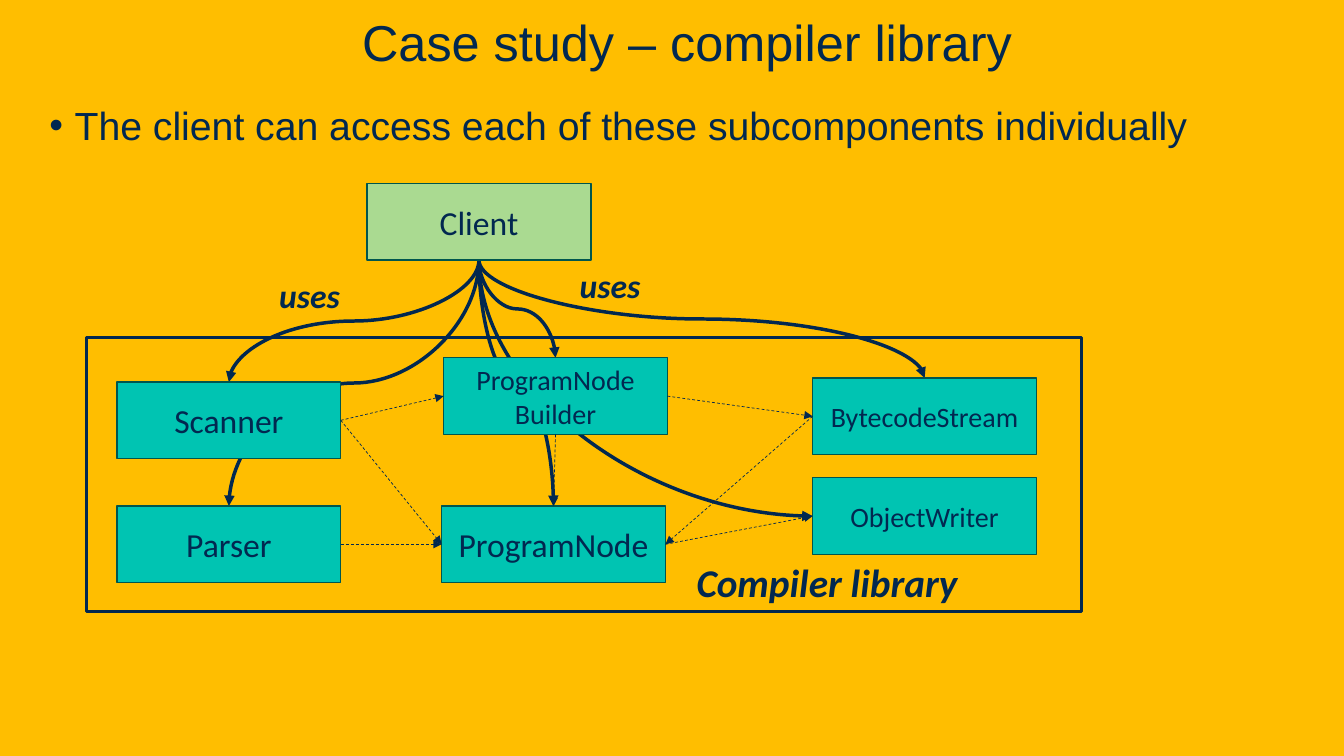
from lxml import etree
from pptx import Presentation
from pptx import util as u
from pptx.dml.color import RGBColor
from pptx.enum import dml, shapes, text
from pptx.oxml import ns

NAVY = RGBColor(0x02, 0x28, 0x50)
TEAL = RGBColor(0x00, 0xC4, 0xB2)
GREEN = RGBColor(0xAA, 0xDA, 0x91)
EDGE = RGBColor(0x00, 0x56, 0x4E)
GOLD = RGBColor(0xFF, 0xBE, 0x00)
WIDE, HIGH = 2.22, 0.76
TOP, LEFT, BASE, RIGHT = range(4)


class Deck:
    def __init__(self):
        self.show = Presentation()
        self.show.slide_width = u.Inches(13.33)
        self.show.slide_height = u.Inches(7.5)
        self.slide = self.show.slides.add_slide(self.show.slide_layouts[1])
        fill = self.slide.background.fill
        fill.solid()
        fill.fore_color.rgb = GOLD

    def place(self, item, *area):
        item.left, item.top, item.width, item.height = map(u.Inches, area)

    def add_words(self, para, words, size, face="Calibri", strong=False):
        run = para.add_run()
        run.text = words
        font = run.font
        font.name, font.size = face, u.Pt(size)
        font.color.rgb = NAVY
        if strong:
            font.bold = font.italic = True

    def title(self, words):
        item = self.slide.shapes.title
        self.place(item, 0, 0, 13.33, 0.76)
        frame = item.text_frame
        frame.auto_size = text.MSO_AUTO_SIZE.NONE
        frame.vertical_anchor = text.MSO_ANCHOR.BOTTOM
        para = frame.paragraphs[0]
        para.alignment = text.PP_ALIGN.CENTER
        para._p.get_or_add_pPr().set("marL", str(u.Inches(0.3)))
        self.add_words(para, words, 36, "Arial")

    def body(self, words):
        item = self.slide.placeholders[1]
        self.place(item, 0.39, 0.86, 12.52, 5.71)
        frame = item.text_frame
        frame.auto_size = text.MSO_AUTO_SIZE.NONE
        para = frame.paragraphs[0]
        para.line_spacing = 1.2
        para.space_before, para.space_after = u.Pt(0), u.Pt(6)
        props = para._p.get_or_add_pPr()
        props.set("marL", str(u.Inches(0.25)))
        props.set("indent", str(u.Inches(-0.25)))
        etree.SubElement(props, ns.qn("a:buChar")).set("char", "•")
        self.add_words(para, words, 28, "Arial")

    def rect(self, area, line, weight, fill=None):
        item = self.slide.shapes.add_shape(
            shapes.MSO_SHAPE.RECTANGLE, *map(u.Inches, area))
        item.shadow.inherit = False
        item.line.color.rgb = line
        item.line.width = u.Pt(weight)
        if fill is None:
            item.fill.background()
        else:
            item.fill.solid()
            item.fill.fore_color.rgb = fill
        return item

    def box(self, words, spot, size, fill=TEAL):
        item = self.rect((*spot, WIDE, HIGH), EDGE, 1, fill)
        frame = item.text_frame
        frame.vertical_anchor = text.MSO_ANCHOR.MIDDLE
        for i, part in enumerate(words.split()):
            para = frame.add_paragraph() if i else frame.paragraphs[0]
            para.alignment = text.PP_ALIGN.CENTER
            self.add_words(para, part, size)
        return item

    def label(self, words, area, size):
        item = self.slide.shapes.add_textbox(*map(u.Inches, area))
        frame = item.text_frame
        frame.word_wrap = False
        frame.auto_size = text.MSO_AUTO_SIZE.SHAPE_TO_FIT_TEXT
        self.add_words(frame.paragraphs[0], words, size, strong=True)

    def arrow(self, kind, ends, weight, dash=None):
        link = self.slide.shapes.add_connector(kind, *map(u.Inches, ends))
        link.line.color.rgb = NAVY
        link.line.width = u.Pt(weight)
        if dash:
            link.line.dash_style = dash
        props = link._element.spPr
        tail = etree.SubElement(props.find(ns.qn("a:ln")), ns.qn("a:tailEnd"))
        tail.set("type", "triangle")
        etree.SubElement(props, ns.qn("a:effectLst"))
        return link

    def curve(self, start, end, bend=False):
        (x, y), (goal, floor) = start, end
        mid, level = (x + goal) / 2, (y + floor) / 2
        half, rise = (floor - y) / 2, abs(goal - x) / 2
        east = goal > x
        if east:
            half = -half
        link = self.arrow(shapes.MSO_CONNECTOR.CURVE,
                          (mid - half, level - rise, mid + half, level + rise), 2.5)
        props = link._element.spPr
        props.find(ns.qn("a:xfrm")).set("rot", str((270 if east else 90) * 60000))
        if bend:
            props.find(ns.qn("a:prstGeom")).set("prst", "curvedConnector2")

    def dash(self, start, out, end, into):
        link = self.arrow(shapes.MSO_CONNECTOR.STRAIGHT, (0, 0, 1, 1), 0.5,
                          dml.MSO_LINE.DASH)
        link.begin_connect(start, out)
        link.end_connect(end, into)


def main():
    deck = Deck()
    deck.title("Case study – compiler library")
    deck.body("The client can access each of these subcomponents individually")

    client = (3.64, 1.82)
    parts = {
        "Scanner": (1.16, 3.79, 24),
        "Parser": (1.16, 5.02, 24),
        "ProgramNode": (4.38, 5.02, 24),
        "BytecodeStream": (8.06, 3.75, 20),
        "ProgramNode Builder": (4.4, 3.55, 20),
        "ObjectWriter": (8.06, 4.74, 20),
    }
    root = (client[0] + WIDE / 2, client[1] + HIGH)
    for name, (x, y, size) in parts.items():
        if name == "ObjectWriter":
            deck.curve(root, (x, y + HIGH / 2), bend=True)
        else:
            deck.curve(root, (x + WIDE / 2, y))

    deck.box("Client", client, 24, GREEN)
    boxes = {name: deck.box(name, (x, y), size)
             for name, (x, y, size) in parts.items()}
    deck.rect((0.86, 3.35, 9.87, 2.72), NAVY, 2)
    for x, y in ((5.65, 2.58), (2.67, 2.68)):
        deck.label("uses", (x, y, 0.81, 0.5), 24)
    deck.label("Compiler library", (6.81, 5.49, 2.82, 0.57), 28)

    for start, out, end, into in (
        ("ProgramNode Builder", BASE, "ProgramNode", TOP),
        ("Scanner", RIGHT, "ProgramNode Builder", LEFT),
        ("Scanner", RIGHT, "ProgramNode", LEFT),
        ("Parser", RIGHT, "ProgramNode", LEFT),
        ("ProgramNode Builder", RIGHT, "BytecodeStream", LEFT),
        ("BytecodeStream", LEFT, "ProgramNode", RIGHT),
        ("ProgramNode", RIGHT, "ObjectWriter", LEFT),
    ):
        deck.dash(boxes[start], out, boxes[end], into)
    deck.show.save("out.pptx")


if __name__ == "__main__":
    main()
